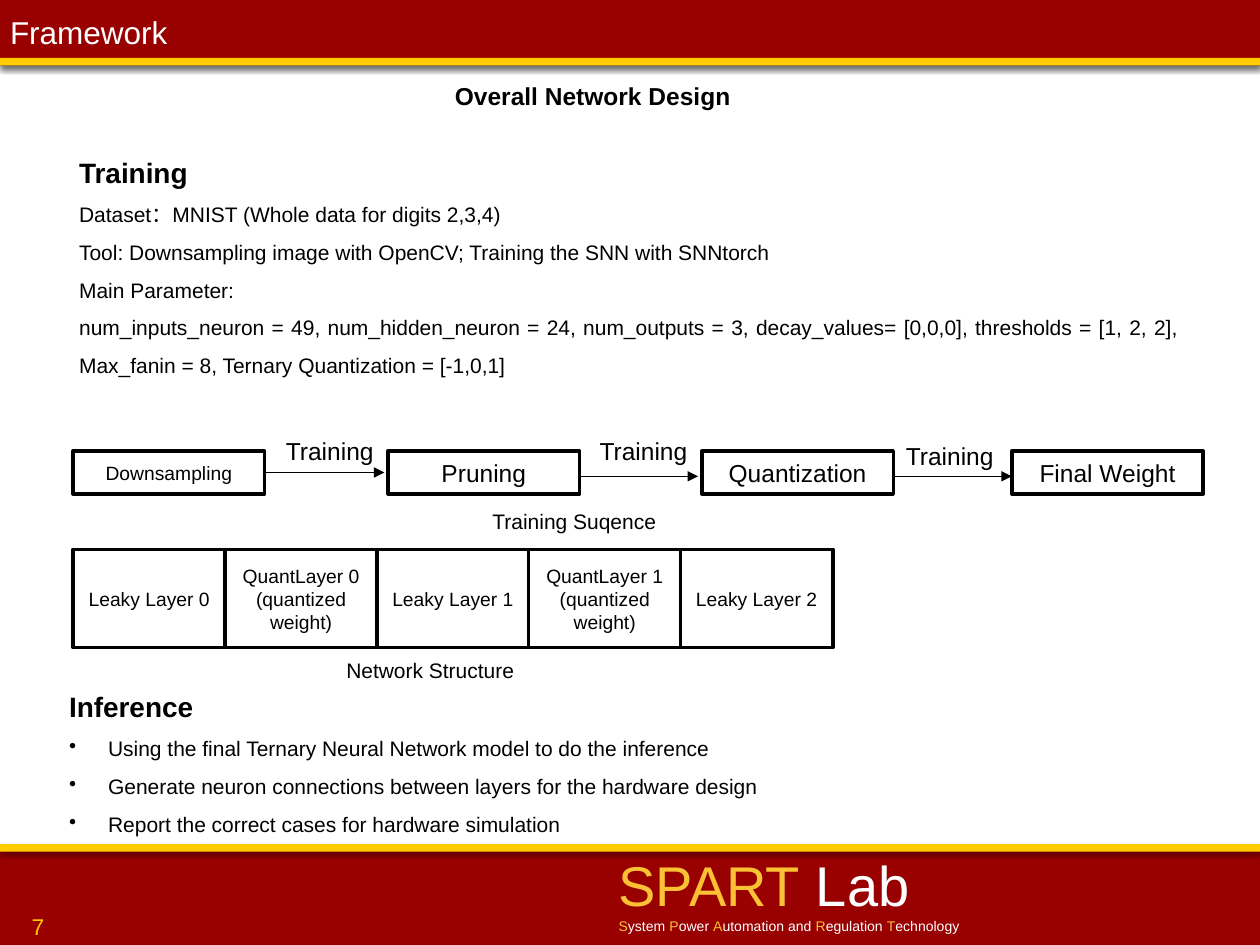
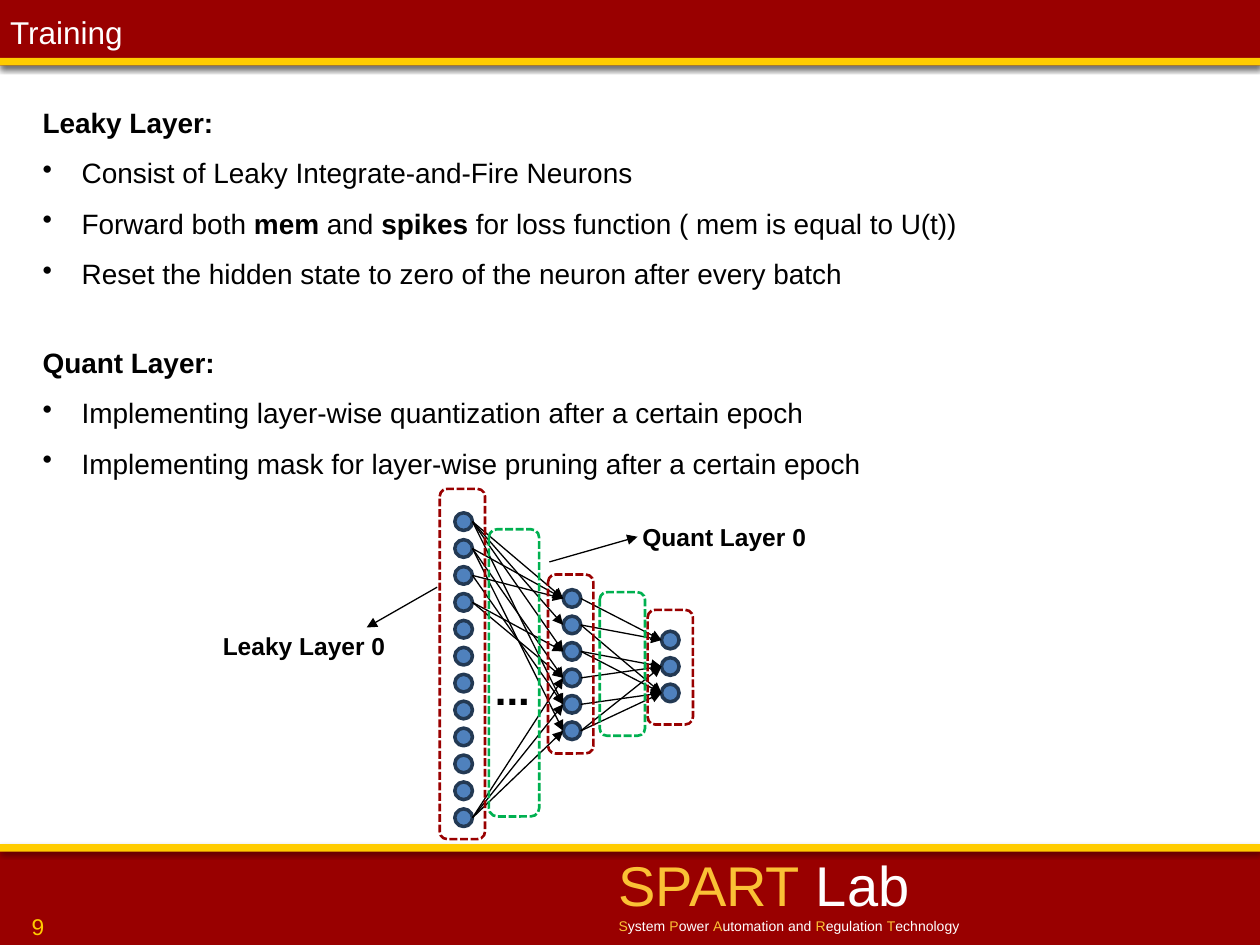
from dataclasses import dataclass
from typing import NamedTuple

from lxml import etree
from pptx import Presentation
from pptx import util as u
from pptx.dml import color as dml
from pptx.enum import dml as lines, shapes, text
from pptx.oxml import ns
from pptx.slide import Slide


@dataclass(frozen=True)
class Theme:
    font: str = "Arial"
    ink: str = "000000"
    paper: str = "FFFFFF"
    band: str = "990000"
    gold: str = "FFCC00"
    accent: str = "FAC135"
    green: str = "00B050"
    neuron: str = "4F81BD"
    neuron_edge: str = "233953"
    wordmark: int = 32
    dots: int = 24
    title: int = 18
    heading: int = 16
    label: int = 14
    number: int = 13
    body: int = 12
    small: int = 11
    tagline: int = 8


T = Theme()
LEFT, CENTER = text.PP_ALIGN.LEFT, text.PP_ALIGN.CENTER
RIGHT, JUSTIFY = text.PP_ALIGN.RIGHT, text.PP_ALIGN.JUSTIFY
TOP, MIDDLE = text.MSO_ANCHOR.TOP, text.MSO_ANCHOR.MIDDLE
RECT = shapes.MSO_SHAPE.RECTANGLE
ROUNDED = shapes.MSO_SHAPE.ROUNDED_RECTANGLE
OVAL = shapes.MSO_SHAPE.OVAL


class Box(NamedTuple):
    left: float
    top: float
    width: float
    height: float

    def emu(self) -> list[u.Length]:
        return [u.Inches(v) for v in self]


class Run(NamedTuple):
    text: str
    size: int
    color: str = T.ink
    bold: bool = False


class Para(NamedTuple):
    runs: list[Run]
    align: text.PP_ALIGN = LEFT
    spacing: float = 1.0
    bullet: bool = False


class Layer(NamedTuple):
    left: float
    first: float
    last: float
    count: int

    def tops(self) -> list[float]:
        pitch = (self.last - self.first) / (self.count - 1)
        return [self.first + pitch * i for i in range(self.count)]


class Arrow(NamedTuple):
    x1: float
    y1: float
    x2: float
    y2: float


NEURON = 0.14
LAYERS = [
    Layer(3.61, 4.07, 6.42, 12),
    Layer(4.47, 4.68, 5.73, 6),
    Layer(5.25, 5.01, 5.43, 3),
]
SYNAPSES = [
    {0: (0, 1, 2, 4), 1: (0, 3, 5), 2: (0, 4), 3: (2, 3), 11: (3, 4, 5)},
    {0: (0,), 1: (0, 2), 2: (1, 2), 3: (1,), 4: (2,), 5: (1, 2)},
]
LEAKY_FRAMES = [Box(3.49, 3.88, 0.36, 2.78), Box(4.35, 4.56, 0.36, 1.42),
                Box(5.14, 4.84, 0.36, 0.91)]
QUANT_FRAMES = [Box(3.88, 4.2, 0.4, 2.28), Box(4.76, 4.7, 0.36, 1.14)]


def rgb(value: str) -> dml.RGBColor:
    return dml.RGBColor.from_string(value)


def add(parent, tag: str, **attrs: object):
    return etree.SubElement(parent, ns.qn(tag), {k: str(v) for k, v in attrs.items()})


def fill_text(tf, paras: list[Para]) -> None:
    for i, para in enumerate(paras):
        p = tf.add_paragraph() if i else tf.paragraphs[0]
        p.alignment, p.line_spacing = para.align, para.spacing
        if para.bullet:
            pPr = p._p.get_or_add_pPr()
            pPr.set("marL", str(u.Inches(0.31)))
            pPr.set("indent", str(u.Inches(-0.31)))
            add(add(pPr, "a:buClr"), "a:srgbClr", val=T.ink)
            add(pPr, "a:buChar", char="•")
        for run in para.runs:
            r = p.add_run()
            r.text = run.text
            r.font.name, r.font.size = T.font, u.Pt(run.size)
            r.font.bold, r.font.color.rgb = run.bold, rgb(run.color)


def add_text(s: Slide, box: Box, paras: list[Para], anchor=MIDDLE,
             inset=(0.1, 0.05, 0.1, 0.05), wrap: bool = True) -> None:
    tf = s.shapes.add_textbox(*box.emu()).text_frame
    tf.word_wrap, tf.vertical_anchor = wrap, anchor
    tf.margin_left, tf.margin_top, tf.margin_right, tf.margin_bottom = map(u.Inches, inset)
    fill_text(tf, paras)


def add_box(s: Slide, kind, box: Box, fill: str = "", line: str = "",
            weight: float = 2, dashed: bool = False):
    sp = s.shapes.add_shape(kind, *box.emu())
    sp.shadow.inherit = False
    if fill:
        sp.fill.solid()
        sp.fill.fore_color.rgb = rgb(fill)
    else:
        sp.fill.background()
    if line:
        sp.line.color.rgb, sp.line.width = rgb(line), u.Pt(weight)
        if dashed:
            sp.line.dash_style = lines.MSO_LINE.SQUARE_DOT
    else:
        sp.line.fill.background()
    return sp


def add_band(s: Slide, box: Box, fill: str, alpha: int, distance: float) -> None:
    sp = add_box(s, RECT, box, fill)
    effects = sp._element.spPr.find(ns.qn("a:effectLst"))
    shadow = add(effects, "a:outerShdw", blurRad=u.Pt(3.1), dist=u.Pt(distance),
                 dir=90 * 60000, rotWithShape=0)
    add(add(shadow, "a:srgbClr", val=T.ink), "a:alpha", val=alpha * 1000)


def add_block(s: Slide, box: Box, labels: list[str], size: int) -> None:
    sp = add_box(s, RECT, box, T.paper, T.ink)
    sp.text_frame.word_wrap = True
    sp.text_frame.vertical_anchor = MIDDLE
    fill_text(sp.text_frame, [Para([Run(label, size)], CENTER) for label in labels])


def add_arrow(s: Slide, arrow: Arrow) -> None:
    c = s.shapes.add_connector(shapes.MSO_CONNECTOR.STRAIGHT, *map(u.Inches, arrow))
    c.line.color.rgb, c.line.width = rgb(T.ink), u.Pt(0.75)
    spPr = c._element.spPr
    add(spPr.find(ns.qn("a:ln")), "a:tailEnd", type="triangle")
    add(spPr, "a:effectLst")


def add_label(s: Slide, box: Box, label: str, bold: bool = False) -> None:
    add_text(s, box, [Para([Run(label, T.label, bold=bold)])], TOP)


def add_caption(s: Slide, box: Box, caption: str) -> None:
    add_text(s, box, [Para([Run(caption, T.body)], JUSTIFY, 1.5)])


def add_section(s: Slide, box: Box, heading: str, body: list[str], size: int,
                bullet: bool = True) -> None:
    paras = [Para([Run(heading, T.heading, bold=True)], JUSTIFY, 1.5)]
    for line in body:
        runs = [Run(part, size, bold=i % 2 == 1) for i, part in enumerate(line.split("*"))]
        paras.append(Para(runs, JUSTIFY, 1.5, bullet))
    add_text(s, box, paras)


def accented(line: str, size: int) -> Para:
    return Para([Run(part, size, T.accent if i % 2 else T.paper)
                 for i, part in enumerate(line.split("*")) if part])


def new_slide(prs, title: str, number: int) -> Slide:
    s = prs.slides.add_slide(prs.slide_layouts[6])
    add_band(s, Box(0, 6.71, 10, 0.79), T.band, 35, 1.8)
    add_band(s, Box(0, 6.7, 10, 0.06), T.gold, 38, 1.6)
    add_band(s, Box(0, 0, 10, 0.52), T.band, 35, 1.8)
    add_band(s, Box(0, 0.46, 10, 0.06), T.gold, 38, 1.6)
    add_text(s, Box(4.91, 6.75, 2.77, 0.67), [
        accented("*SPART* Lab", T.wordmark),
        accented("*S*ystem *P*ower *A*utomation and *R*egulation *T*echnology", T.tagline),
    ], inset=(0, 0, 0, 0), wrap=False)
    add_text(s, Box(0.02, 7.14, 0.43, 0.42),
             [Para([Run(str(number), T.number, T.gold)], RIGHT)], TOP, (0.1,) * 4)
    add_text(s, Box(0, 0, 10, 0.47), [Para([Run(title, T.title, T.paper)])],
             inset=(0.08, 0.04, 0, 0))
    return s


def framework_slide(prs) -> None:
    s = new_slide(prs, "Framework", 7)
    add_text(s, Box(3.61, 0.6, 2.59, 0.32),
             [Para([Run("Overall Network Design", T.label, bold=True)])], inset=(0, 0, 0, 0))
    add_section(s, Box(0.53, 1.06, 8.93, 1.98), "Training", [
        "Dataset：MNIST (Whole data for digits 2,3,4)",
        "Tool: Downsampling image with OpenCV; Training the SNN with SNNtorch",
        "Main Parameter:",
        "num_inputs_neuron = 49, num_hidden_neuron = 24, num_outputs = 3, "
        "decay_values= [0,0,0], thresholds = [1, 2, 2], "
        "Max_fanin = 8, Ternary Quantization = [-1,0,1]",
    ], T.body, bullet=False)

    steps = [(0.58, "Downsampling", T.small), (3.08, "Pruning", T.label),
             (5.57, "Quantization", T.label), (8.03, "Final Weight", T.label)]
    for left, step, size in steps:
        add_block(s, Box(left, 3.58, 1.52, 0.34), [step], size)
    for left, y, label_left, label_top in [(2.1, 3.75, 2.17, 3.41), (4.59, 3.78, 4.66, 3.41),
                                           (7.08, 3.78, 7.09, 3.45)]:
        add_arrow(s, Arrow(left, y, left + 0.95, y))
        add_label(s, Box(label_left, label_top, 0.91, 0.34), "Training")
    add_caption(s, Box(3.81, 3.9, 1.57, 0.37), "Training Suqence")

    network = [["Leaky Layer 0"], ["QuantLayer 0", "(quantized weight)"], ["Leaky Layer 1"],
               ["QuantLayer 1", "(quantized weight)"], ["Leaky Layer 2"]]
    pitch = 4.82 / (len(network) - 1)
    for i, labels in enumerate(network):
        add_block(s, Box(0.58 + i * pitch, 4.36, 1.21, 0.78), labels, T.small)
    add_caption(s, Box(2.65, 5.08, 1.57, 0.37), "Network Structure")

    add_section(s, Box(0.45, 5.3, 8.93, 1.38), "Inference", [
        "Using the final Ternary Neural Network model to do the inference",
        "Generate neuron connections between layers for the hardware design",
        "Report the correct cases for hardware simulation",
    ], T.body)


def draw_network(s: Slide) -> None:
    for layer in LAYERS:
        for top in layer.tops():
            add_box(s, OVAL, Box(layer.left, top, NEURON, NEURON), T.neuron, T.neuron_edge)
    for source, target, links in zip(LAYERS, LAYERS[1:], SYNAPSES):
        starts, ends = source.tops(), target.tops()
        for i, targets in links.items():
            for j in targets:
                add_arrow(s, Arrow(source.left + NEURON, starts[i] + NEURON / 2,
                                   target.left, ends[j] + NEURON / 2))
    for frames, color in [(LEAKY_FRAMES, T.band), (QUANT_FRAMES, T.green)]:
        for frame in frames:
            add_box(s, ROUNDED, frame, line=color, weight=1.5, dashed=True)


def training_slide(prs) -> None:
    s = new_slide(prs, "Training", 9)
    add_section(s, Box(0.24, 0.67, 8.5, 1.67), "Leaky Layer:", [
        "Consist of Leaky Integrate-and-Fire Neurons",
        "Forward both *mem* and *spikes* for loss function ( mem is equal to U(t))",
        "Reset the hidden state to zero of the neuron after every batch",
    ], T.heading)
    add_section(s, Box(0.24, 2.58, 8.63, 1.26), "Quant Layer:", [
        "Implementing layer-wise quantization after a certain epoch",
        "Implementing mask for layer-wise pruning after a certain epoch",
    ], T.heading)
    draw_network(s)
    add_text(s, Box(3.83, 5.05, 0.61, 0.63),
             [Para([Run("...", T.dots, bold=True)], JUSTIFY, 1.5)])
    add_arrow(s, Arrow(3.47, 4.66, 2.91, 4.98))
    add_label(s, Box(1.67, 4.96, 1.53, 0.34), "Leaky Layer 0", bold=True)
    add_arrow(s, Arrow(4.36, 4.46, 5.06, 4.26))
    add_label(s, Box(5, 4.09, 1.53, 0.34), "Quant Layer 0", bold=True)


def main() -> None:
    prs = Presentation()
    prs.slide_width, prs.slide_height = u.Inches(10), u.Inches(7.5)
    framework_slide(prs)
    training_slide(prs)
    prs.save("out.pptx")


if __name__ == "__main__":
    main()
